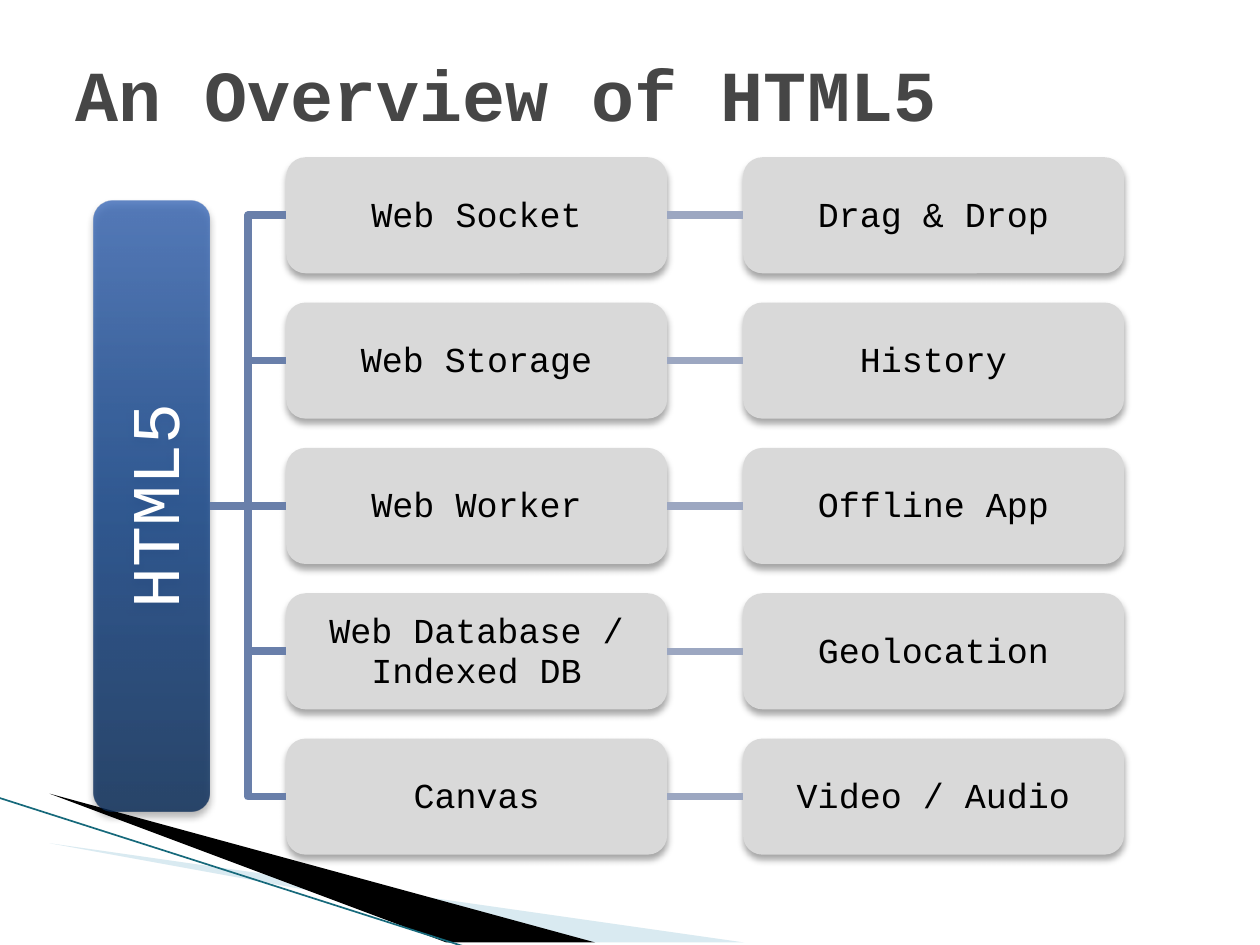
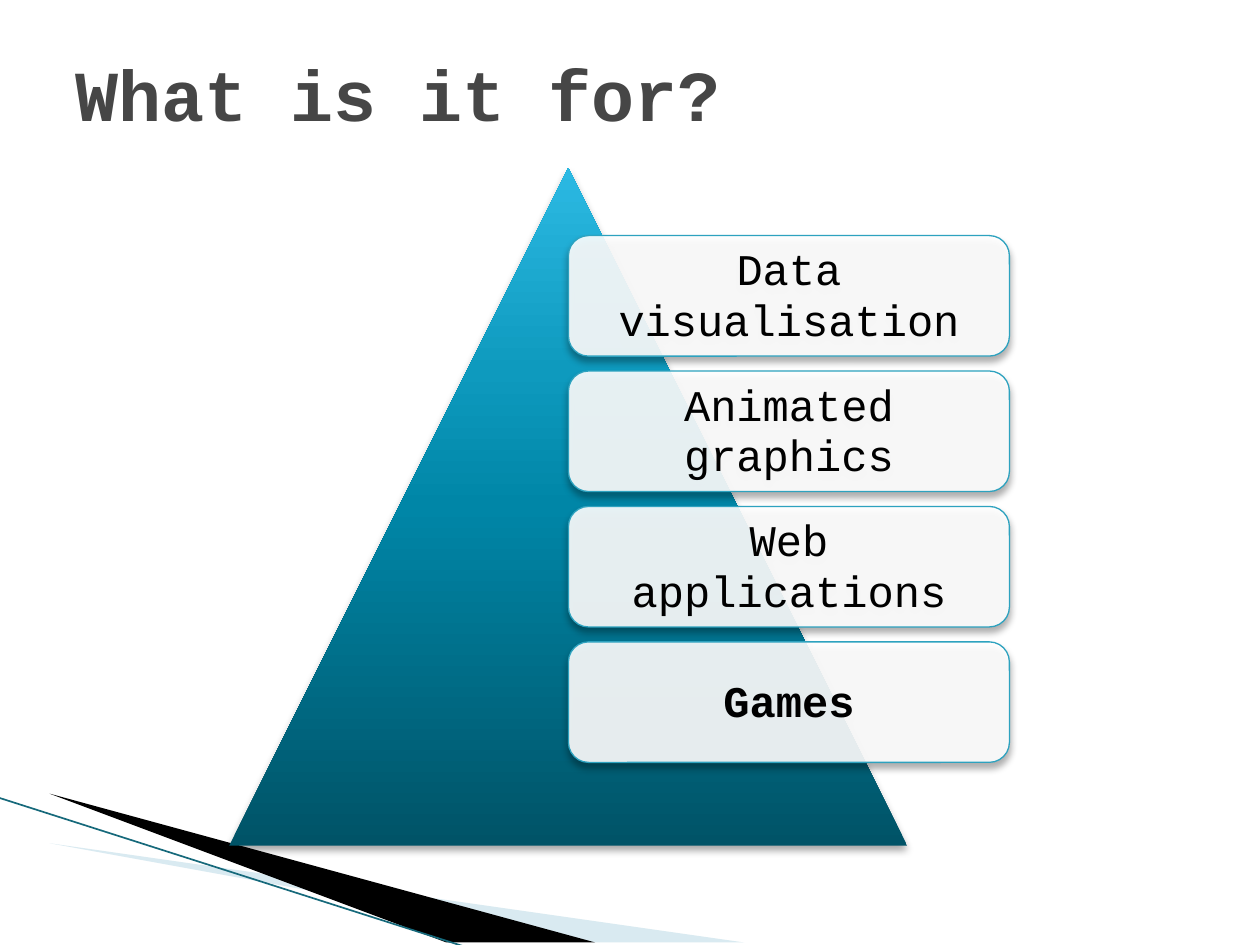
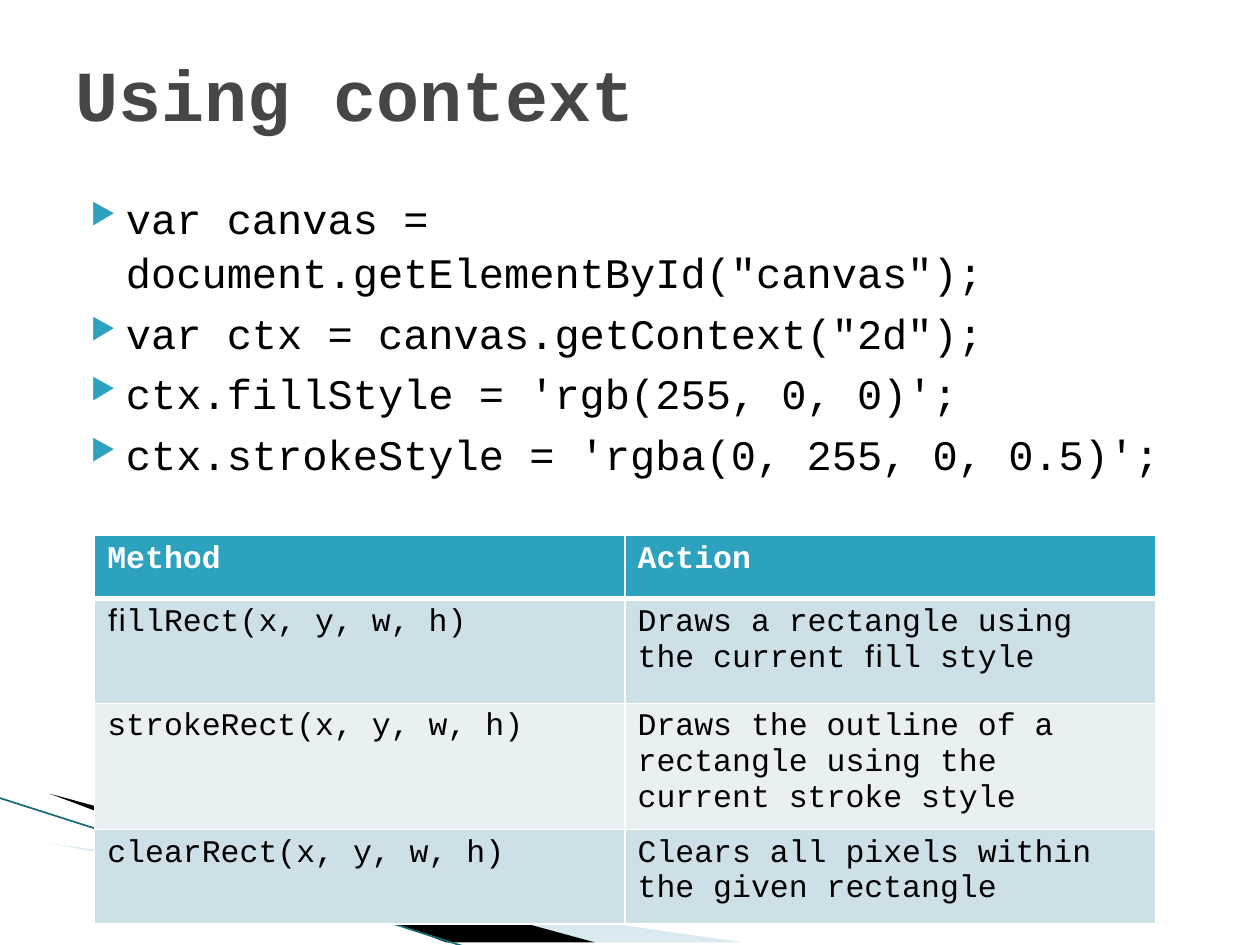
import lxml.etree
import pptx
import pptx.dml.color
import pptx.enum.shapes
import pptx.enum.text
import pptx.oxml.ns
import pptx.util

Cm, Pt = pptx.util.Cm, pptx.util.Pt
SHAPE = pptx.enum.shapes.MSO_SHAPE
CONNECTOR = pptx.enum.shapes.MSO_CONNECTOR
ANCHOR = pptx.enum.text.MSO_ANCHOR
ALIGN = pptx.enum.text.PP_ALIGN
colour = pptx.dml.color.RGBColor.from_string
tag = pptx.oxml.ns.qn
child = lxml.etree.SubElement

FONT = "Courier New"
TEAL, BLACK, WHITE, TITLE_GREY = "2DA2BF", "000000", "FFFFFF", "464646"


def write(frame, lines, size, ink=BLACK, bold=False, align=ALIGN.LEFT, spacing=None):
    """Fill a text frame with one paragraph per line."""
    frame.word_wrap = True
    for number, line in enumerate(lines):
        para = frame.add_paragraph() if number else frame.paragraphs[0]
        para.alignment, para.line_spacing = align, spacing
        span = para.add_run()
        span.text = line
        for name, value in {"name": FONT, "size": Pt(size), "bold": bold}.items():
            setattr(span.font, name, value)
        span.font.color.rgb = colour(ink)


def add_panel(page, kind, place, fill, opacity=100, outline=None):
    """Add a shape with a soft shadow; fill is a hex string or a list of stops from the bottom up."""
    panel = page.shapes.add_shape(kind, *map(Cm, place))
    properties = panel._element.spPr
    if isinstance(fill, str):
        panel.fill.solid()
        panel.fill.fore_color.rgb = colour(fill)
    else:
        panel.fill.gradient()
        panel.fill.gradient_angle = 90
        stops = properties.find(".//" + tag("a:gsLst"))
        stops.clear()
        for position, tone in fill:
            stop = child(stops, tag("a:gs"), pos=str(position * 1000))
            child(stop, tag("a:srgbClr"), val=tone)
    if opacity < 100:
        for tone in list(properties.iter(tag("a:srgbClr"))):
            child(tone, tag("a:alpha"), val=str(opacity * 1000))
    if outline:
        panel.line.color.rgb = colour(outline)
        panel.line.width = Pt(0.75)
    else:
        panel.line.fill.background()
    panel.shadow.inherit = False
    shadow = child(properties.find(tag("a:effectLst")), tag("a:outerShdw"),
                   blurRad=str(Pt(4)), dist=str(Pt(3)), dir="5400000", rotWithShape="0")
    child(child(shadow, tag("a:srgbClr"), val=BLACK), tag("a:alpha"), val="35000")
    return panel


deck = pptx.Presentation()
deck.slide_width, deck.slide_height = Cm(25.4), Cm(19.05)
strokes = []  # (connector, colour, width in points)

# Shared corner bands and titles
bands = [
    ([(1.4, 16.52), (15.11, 19.07), (11.58, 19.07)], "A0CBDC", 40),
    ([(1.35, 16.48), (11.61, 19.07), (9.45, 19.1)], BLACK, 100),
]
pages = []
for title in ["An Overview of HTML5", "What is it for?", "Using context"]:
    page = deck.slides.add_slide(deck.slide_layouts[6])
    pages.append(page)
    for points, tone, opacity in bands:
        outline = page.shapes.build_freeform(*points[0], scale=Cm(1))
        outline.add_line_segments(points[1:], close=True)
        band = outline.convert_to_shape()
        band.fill.solid()
        band.fill.fore_color.rgb = colour(tone)
        child(band._element.spPr.find(".//" + tag("a:srgbClr")), tag("a:alpha"),
              val=str(opacity * 1000))
        band.line.fill.background()
        band.shadow.inherit = False
    edge = page.shapes.add_connector(CONNECTOR.STRAIGHT, Cm(-0.03), Cm(16.08), Cm(9.42), Cm(19.1))
    strokes.append((edge, "16697B", 0.95))
    box = page.shapes.add_textbox(Cm(1.27), Cm(0.76), Cm(22.86), Cm(2.21))
    box.text_frame.vertical_anchor = ANCHOR.MIDDLE
    write(box.text_frame, [title], 41, TITLE_GREY, bold=True)
overview, purpose, context = pages

# Slide 1: feature tree
bar = add_panel(overview, SHAPE.ROUNDED_RECTANGLE, (1.89, 4.04, 2.34, 12.32),
                [(0, "072956"), (50, "104288"), (70, "205199"), (100, "3D6BB9")], opacity=80)
bar.text_frame._txBody.bodyPr.set("vert", "vert270")
write(bar.text_frame, ["HTML5"], 39, WHITE, align=ALIGN.CENTER)
bar.text_frame.vertical_anchor = ANCHOR.MIDDLE

features = [
    ("Web Socket", "Drag & Drop"),
    ("Web Storage", "History"),
    ("Web Worker", "Offline App"),
    ("Web Database / Indexed DB", "Geolocation"),
    ("Canvas", "Video / Audio"),
]
for row, names in enumerate(features):
    cards = []
    for column, name in enumerate(names):
        place = (5.77 + 9.21 * column, 3.17 + 2.93 * row, 7.68, 2.34)
        card = add_panel(overview, SHAPE.ROUNDED_RECTANGLE, place, "D9D9D9")
        frame = card.text_frame
        for side in ("left", "top", "right", "bottom"):
            setattr(frame, "margin_" + side, Cm(0.03))
        frame.vertical_anchor = ANCHOR.MIDDLE
        write(frame, [name], 20, align=ALIGN.CENTER, spacing=0.96)
        cards.append(card)
    rib = CONNECTOR.STRAIGHT if row == 2 else CONNECTOR.ELBOW
    for kind, start, end, tone in [(rib, bar, cards[0], "697FAA"),
                                   (CONNECTOR.STRAIGHT, *cards, "9CA7C1")]:
        link = overview.shapes.add_connector(kind, 0, 0, 0, 0)
        link.begin_connect(start, 3)
        link.end_connect(end, 1)
        strokes.append((link, tone, 4.33))

# Slide 2: pyramid with uses
add_panel(purpose, SHAPE.ISOSCELES_TRIANGLE, (4.62, 3.38, 13.67, 13.67),
          [(0, "005367"), (50, "0086A7"), (70, "0E9ABE"), (100, "2CB9E3")])
uses = ["Data visualisation", "Animated graphics", "Web applications", "Games"]
for row, use in enumerate(uses):
    card = add_panel(purpose, SHAPE.ROUNDED_RECTANGLE, (11.46, 4.75 + 2.73 * row, 8.89, 2.43),
                     WHITE, opacity=90, outline=TEAL)
    card.text_frame.vertical_anchor = ANCHOR.MIDDLE
    write(card.text_frame, [use], 25, bold=use == "Games", align=ALIGN.CENTER, spacing=0.96)

# Slide 3: code lines and method table
code = [
    'var canvas = document.getElementById("canvas");',
    'var ctx = canvas.getContext("2d");',
    "ctx.fillStyle = 'rgb(255, 0, 0)';",
    "ctx.strokeStyle = 'rgba(0, 255, 0, 0.5)';",
]
box = context.shapes.add_textbox(Cm(1.27), Cm(3.68), Cm(22.86), Cm(13.23))
write(box.text_frame, code, 24, spacing=1.07)
for para in box.text_frame.paragraphs:
    para.space_before = Pt(4)
    settings = para._p.get_or_add_pPr()
    settings.set("marL", str(Cm(1.02)))
    settings.set("indent", str(Cm(-0.71)))
    child(child(settings, tag("a:buClr")), tag("a:srgbClr"), val=TEAL)
    child(settings, tag("a:buSzPct"), val="68000")
    child(settings, tag("a:buChar"), char="▶")

methods = [
    ("Method", "Action"),
    ("ﬁllRect(x, y, w, h)", "Draws a rectangle using the current ﬁll style"),
    ("strokeRect(x, y, w, h)", "Draws the outline of a rectangle using the current stroke style"),
    ("clearRect(x, y, w, h)", "Clears all pixels within the given rectangle"),
]
heights = [1.27, 2.11, 2.11, 1.91]
fills = [TEAL, "CDE0E8", "E8F0F4", "CDE0E8"]
table = context.shapes.add_table(4, 2, Cm(1.91), Cm(10.8), Cm(21.38), Cm(sum(heights))).table
for row, texts in enumerate(methods):
    table.rows[row].height = Cm(heights[row])
    for column, text in enumerate(texts):
        cell = table.cell(row, column)
        cell.fill.solid()
        cell.fill.fore_color.rgb = colour(fills[row])
        write(cell.text_frame, [text], 18, BLACK if row else WHITE, bold=row == 0)
        widths = {"L": 1, "R": 1, "T": 3 if row == 1 else 1, "B": 1 if row else 3}
        borders = cell._tc.get_or_add_tcPr()
        for order, (side, width) in enumerate(widths.items()):
            border = child(borders, tag("a:ln" + side), w=str(Pt(width)))
            child(child(border, tag("a:solidFill")), tag("a:srgbClr"), val=WHITE)
            borders.insert(order, border)

for stroke, tone, width in strokes:
    stroke.line.color.rgb = colour(tone)
    stroke.line.width = Pt(width)
    child(stroke._element.spPr, tag("a:effectLst"))

deck.save("out.pptx")
